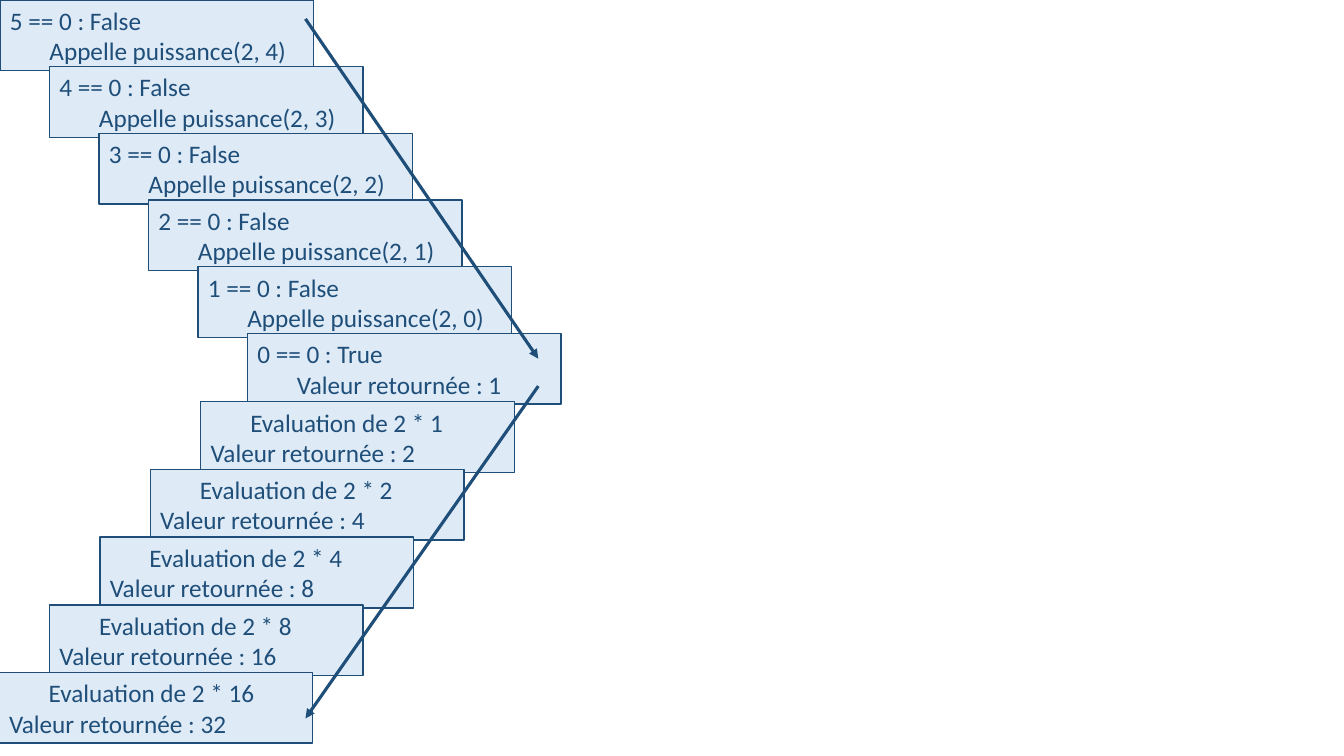
import pptx
import pptx.dml.color
import pptx.enum.shapes
import pptx.enum.text
import pptx.oxml
import pptx.oxml.ns
import pptx.util
from dataclasses import dataclass

Pt = pptx.util.Pt


@dataclass(frozen=True)
class Theme:
    font: str = "Calibri"
    text_size: float = 18
    ink: str = "1F4E79"
    box_fill: str = "DEEBF7"
    box_line: float = 1
    arrow_line: float = 2.25


def color(value):
    return pptx.dml.color.RGBColor.from_string(value)


def write_text(para, text, *, font, size, ink, indent=0):
    para.alignment = pptx.enum.text.PP_ALIGN.LEFT
    properties = para._p.get_or_add_pPr()
    properties.set("marL", str(Pt(indent)))
    properties.set("indent", "0")
    span = para.add_run()
    span.text = text
    span.font.name = font
    span.font.size = Pt(size)
    span.font.color.rgb = color(ink)


class SlideBuilder:
    def __init__(self, page, theme):
        self.page = page
        self.theme = theme

    def style_line(self, line, width):
        line.color.rgb = color(self.theme.ink)
        line.width = Pt(width)

    def call_box(self, left, top, width, height, lines):
        """Add a box; lines holds (text, indent) pairs."""
        box = self.page.shapes.add_shape(
            pptx.enum.shapes.MSO_SHAPE.RECTANGLE,
            Pt(left), Pt(top), Pt(width), Pt(height))
        box.shadow.inherit = False
        box.fill.solid()
        box.fill.fore_color.rgb = color(self.theme.box_fill)
        self.style_line(box.line, self.theme.box_line)
        frame = box.text_frame
        frame.word_wrap = True
        frame.vertical_anchor = pptx.enum.text.MSO_ANCHOR.MIDDLE
        for number, (text, indent) in enumerate(lines):
            para = frame.add_paragraph() if number else frame.paragraphs[0]
            write_text(para, text, font=self.theme.font, indent=indent,
                       size=self.theme.text_size, ink=self.theme.ink)

    def arrow(self, start, end):
        connector = self.page.shapes.add_connector(
            pptx.enum.shapes.MSO_CONNECTOR.STRAIGHT,
            *(Pt(value) for value in (*start, *end)))
        self.style_line(connector.line, self.theme.arrow_line)
        head = pptx.oxml.parse_xml(
            f'<a:tailEnd {pptx.oxml.ns.nsdecls("a")} type="triangle"/>')
        connector.line._get_or_add_ln().append(head)
        effects = pptx.oxml.parse_xml(
            f'<a:effectLst {pptx.oxml.ns.nsdecls("a")}/>')
        connector._element.spPr.append(effects)


deck = pptx.Presentation()
deck.slide_width, deck.slide_height = Pt(960), Pt(540)
builder = SlideBuilder(deck.slides.add_slide(deck.slide_layouts[6]), Theme())

BASE, EXPONENT = 2, 5
BOX_SIZE = 224, 50.5
INDENT = 28.3

# Recursive calls, stepping down to the right
for depth in range(EXPONENT + 1):
    left_over = EXPONENT - depth
    if left_over:
        result = f"Appelle puissance({BASE}, {left_over - 1})"
    else:
        result = "Valeur retournée : 1"
    test = f"{left_over} == 0 : {left_over == 0}"
    builder.call_box(35.35 * depth, 47.65 * depth, *BOX_SIZE,
                     [(test, 0), (result, INDENT)])

# Returned values, stepping back to the left
for step in range(EXPONENT):
    value = BASE ** step
    builder.call_box(143.4 - 36 * step, 287 + 48.35 * step, *BOX_SIZE,
                     [(f"Evaluation de {BASE} * {value}", INDENT),
                      (f"Valeur retournée : {BASE * value}", 0)])

# Arrows along the descent and the return
builder.arrow((218.2, 13.5), (384.5, 256.2))
builder.arrow((384.5, 275.8), (218.2, 513.2))

deck.save("out.pptx")
